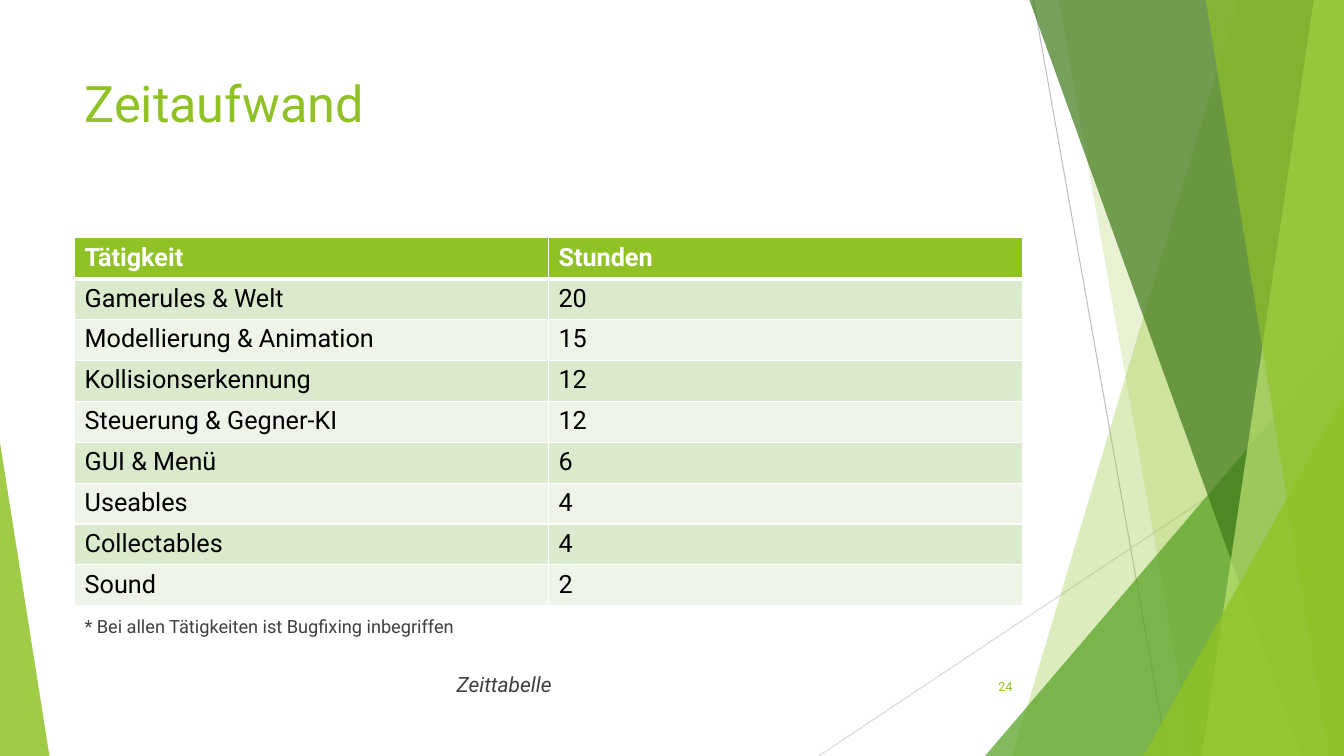
from dataclasses import dataclass

from lxml.etree import SubElement
from pptx import Presentation
from pptx.dml.color import RGBColor
from pptx.enum.shapes import MSO_CONNECTOR, MSO_SHAPE
from pptx.enum.text import MSO_ANCHOR as Anchor, PP_ALIGN as Align
from pptx.oxml.ns import qn
from pptx.shapes.autoshape import Shape
from pptx.slide import Slide
from pptx.table import _Cell as Cell
from pptx.util import Inches, Pt

WIDE, HIGH = 13.33, 7.5
FONT = "Roboto"
WHITE = RGBColor(0xFF, 0xFF, 0xFF)
BLACK = RGBColor(0, 0, 0)
LIME = RGBColor(0x90, 0xC2, 0x26)
GREEN = RGBColor(0x54, 0xA0, 0x21)
FOREST = RGBColor(0x3F, 0x78, 0x19)
PALE = RGBColor(0xC0, 0xE4, 0x74)
DARK = RGBColor(0x40, 0x40, 0x40)
GRAY = RGBColor(0xBF, 0xBF, 0xBF)
SILVER = RGBColor(0xD9, 0xD9, 0xD9)
BANDS = (RGBColor(0xEE, 0xF4, 0xE8), RGBColor(0xDB, 0xE9, 0xCD))


@dataclass
class Ray:
    start: tuple[float, float]
    end: tuple[float, float]
    color: RGBColor


@dataclass
class Facet:
    """Full-height panel whose slanted left edge runs from top to foot."""
    top: float
    foot: float
    color: RGBColor
    alpha: int


@dataclass
class Wedge:
    """Triangle standing on the slide's lower edge; apex 0 is left, 1 is right."""
    left: float
    top: float
    width: float
    apex: int
    color: RGBColor
    alpha: int


@dataclass
class Label:
    text: str
    box: tuple[float, float, float, float]
    size: int
    color: RGBColor
    italic: bool = False
    align: Align = Align.LEFT
    anchor: Anchor = Anchor.TOP


RAYS = [
    Ray((10.25, 0), (11.58, HIGH), GRAY),
    Ray((WIDE, 4.03), (8.12, HIGH), SILVER),
]
PANELS = [
    Facet(12.28, 10.04, LIME, 30),
    Facet(10.5, 11.83, LIME, 20),
    Wedge(9.77, 3.33, 3.56, 1, GREEN, 72),
    Facet(10.21, 12.91, FOREST, 70),
    Facet(13.03, 11.92, PALE, 70),
    Facet(11.96, 13.18, LIME, 65),
    Wedge(11.34, 3.93, 1.99, 1, LIME, 80),
    Wedge(0, 4.39, 0.49, 0, LIME, 85),
]
HOURS = [
    ("Tätigkeit", "Stunden"),
    ("Gamerules & Welt", "20"),
    ("Modellierung & Animation", "15"),
    ("Kollisionserkennung", "12"),
    ("Steuerung & Gegner-KI", "12"),
    ("GUI & Menü", "6"),
    ("Useables", "4"),
    ("Collectables", "4"),
    ("Sound", "2"),
]
LABELS = [
    Label("24", (9.39, 6.61, 0.75, 0.4), 9, LIME,
          align=Align.RIGHT, anchor=Anchor.MIDDLE),
    Label("Zeitaufwand", (0.74, 0.67, 9.4, 1.44), 36, LIME),
    Label("Zeittabelle", (4.43, 6.61, 2.02, 0.53), 15, DARK, italic=True),
    Label("* Bei allen Tätigkeiten ist Bugfixing inbegriffen",
          (0.74, 6.06, 9.19, 0.53), 13, DARK),
]


def draw_ray(slide: Slide, ray: Ray) -> None:
    ends = [Inches(n) for n in ray.start + ray.end]
    line = slide.shapes.add_connector(MSO_CONNECTOR.STRAIGHT, *ends)
    line.line.color.rgb = ray.color
    line.line.width = Pt(0.75)
    SubElement(line._element.spPr, qn("a:effectLst"))


def build_facet(slide: Slide, facet: Facet) -> Shape:
    corners = [(facet.top, 0), (WIDE, 0), (WIDE, HIGH), (facet.foot, HIGH)]
    points = [(Inches(x), Inches(y)) for x, y in corners]
    path = slide.shapes.build_freeform(*points[0])
    path.add_line_segments(points[1:], close=True)
    return path.convert_to_shape()


def build_wedge(slide: Slide, wedge: Wedge) -> Shape:
    box = (wedge.left, wedge.top, wedge.width, HIGH - wedge.top)
    shape = slide.shapes.add_shape(MSO_SHAPE.ISOSCELES_TRIANGLE,
                                   *map(Inches, box))
    shape.adjustments[0] = wedge.apex
    return shape


def draw_panel(slide: Slide, panel: Facet | Wedge) -> None:
    build = build_facet if isinstance(panel, Facet) else build_wedge
    shape = build(slide, panel)
    shape.shadow.inherit = False
    shape.line.fill.background()
    shape.fill.solid()
    shape.fill.fore_color.rgb = panel.color
    tint = shape._element.spPr.find(qn("a:solidFill"))[0]
    SubElement(tint, qn("a:alpha"), val=str(panel.alpha * 1000))


def add_edges(cell: Cell, top: int, bottom: int) -> None:
    """Draw white cell borders; top and bottom are widths in points."""
    props = cell._tc.get_or_add_tcPr()
    for side, width in (("L", 1), ("R", 1), ("T", top), ("B", bottom)):
        edge = SubElement(props, qn(f"a:ln{side}"), w=str(Pt(width)))
        fill = SubElement(edge, qn("a:solidFill"))
        SubElement(fill, qn("a:srgbClr"), val=str(WHITE))


def draw_table(slide: Slide) -> None:
    box = map(Inches, (0.74, 2.36, 9.4, 3.65))
    table = slide.shapes.add_table(len(HOURS), 2, *box).table
    for i, row in enumerate(HOURS):
        head = i == 0
        for j, text in enumerate(row):
            cell = table.cell(i, j)
            add_edges(cell, 3 if i == 1 else 1, 3 if head else 1)
            cell.fill.solid()
            cell.fill.fore_color.rgb = LIME if head else BANDS[i % 2]
            cell.text_frame.text = text
            font = cell.text_frame.paragraphs[0].runs[0].font
            font.name, font.size, font.bold = FONT, Pt(18), head
            font.color.rgb = WHITE if head else BLACK


def draw_label(slide: Slide, label: Label) -> None:
    frame = slide.shapes.add_textbox(*map(Inches, label.box)).text_frame
    frame.word_wrap = True
    frame.vertical_anchor = label.anchor
    frame.text = label.text
    line = frame.paragraphs[0]
    line.alignment = label.align
    font = line.runs[0].font
    font.name, font.size, font.italic = FONT, Pt(label.size), label.italic
    font.color.rgb = label.color


def main() -> None:
    deck = Presentation()
    deck.slide_width, deck.slide_height = Inches(WIDE), Inches(HIGH)
    slide = deck.slides.add_slide(deck.slide_layouts[6])
    for ray in RAYS:
        draw_ray(slide, ray)
    for panel in PANELS:
        draw_panel(slide, panel)
    draw_table(slide)
    for label in LABELS:
        draw_label(slide, label)
    deck.save("out.pptx")


if __name__ == "__main__":
    main()
